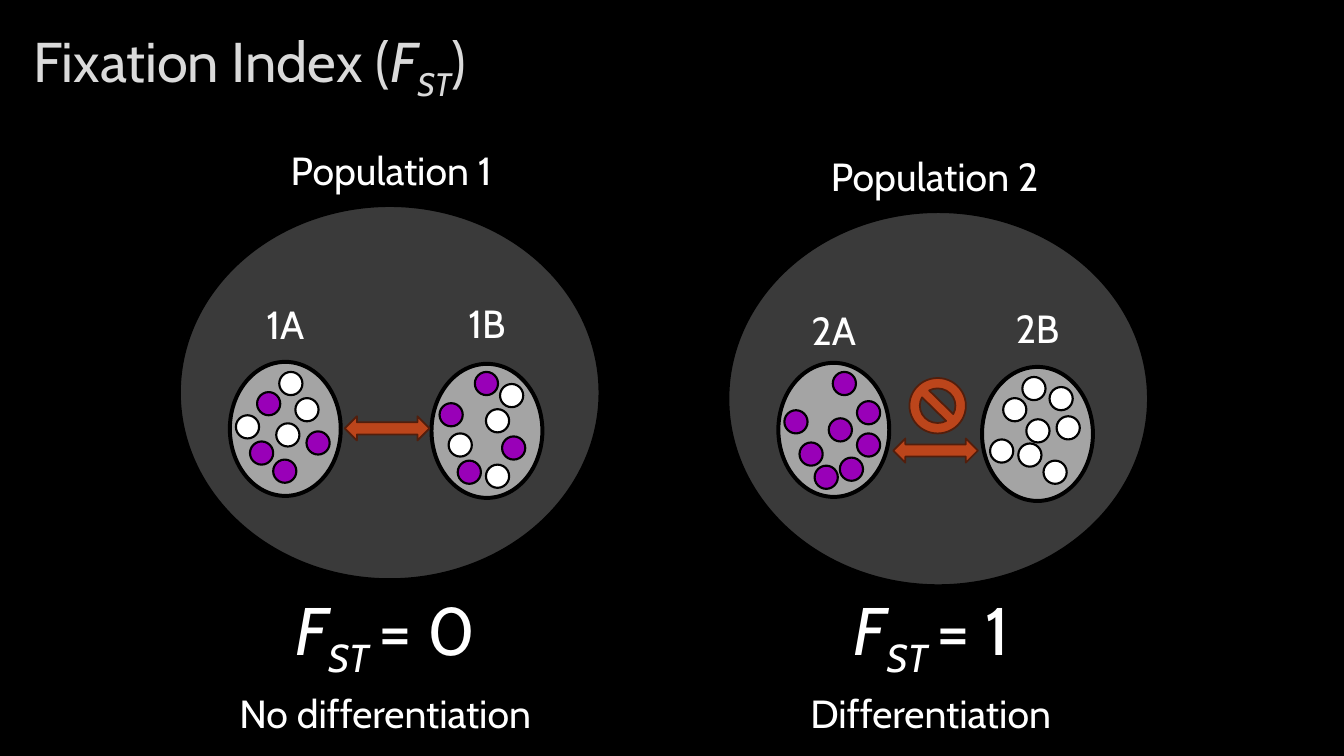
import pptx
import pptx.dml.color
import pptx.enum.shapes
import pptx.enum.text
import pptx.oxml.ns
import pptx.util
from lxml import etree

PX = 9144  # 100 px to the inch

RGB = pptx.dml.color.RGBColor
BLACK = RGB(0x00, 0x00, 0x00)
WHITE = RGB(0xFF, 0xFF, 0xFF)
SILVER = RGB(0xDA, 0xDA, 0xDA)
GRAY = RGB(0x6D, 0x6D, 0x6D)
PURPLE = RGB(0x99, 0x00, 0xB8)
RUST = RGB(0xBC, 0x45, 0x1B)
DARK_RUST = RGB(0x52, 0x1E, 0x0C)

SHAPE = pptx.enum.shapes.MSO_SHAPE
ALIGN = pptx.enum.text.PP_ALIGN
ANCHOR = pptx.enum.text.MSO_ANCHOR
ITALIC, SUBSCRIPT = "italic", "subscript"

# Each group: offset in the population, label offset above, and its alleles
POPULATIONS = [
    dict(
        box=(176, 202, 421, 375), name="Population 1", name_left=90,
        demes=[
            dict(name="1A", at=(52, 157), label_top=-66,
                 purple=[(20, 79), (76, 69), (27, 30), (43, 97)],
                 white=[(46, 61), (6, 53), (49, 10), (65, 36)]),
            dict(name="1B", at=(252, 159), label_top=-69,
                 purple=[(8, 39), (70, 72), (43, 8), (26, 96)],
                 white=[(17, 69), (54, 45), (68, 20), (54, 100)]),
        ],
        arrow_top=211, blocked=False,
        index="= 0", index_at=(37, 377),
        verdict="No differentiation", verdict_at=(18, 477)),
    dict(
        box=(720, 208, 421, 375), name="Population 2", name_left=85,
        demes=[
            dict(name="2A", at=(52, 152), label_top=-61,
                 purple=[(21, 79), (6, 47), (50, 55), (54, 9),
                         (78, 38), (36, 102), (78, 70), (61, 94)],
                 white=[]),
            dict(name="2B", at=(254, 156), label_top=-67,
                 purple=[],
                 white=[(40, 10), (8, 72), (44, 52), (21, 31),
                        (74, 49), (67, 20), (36, 76), (61, 93)]),
        ],
        arrow_top=227, blocked=True,
        index="= 1", index_at=(35, 371),
        verdict="Differentiation", verdict_at=(15, 471)),
]


def add_figure(shapes, kind, box, fill, line, width, opacity=None):
    figure = shapes.add_shape(kind, *(n * PX for n in box))
    figure.shadow.inherit = False
    figure.fill.solid()
    figure.fill.fore_color.rgb = fill
    figure.line.color.rgb = line
    figure.line.width = pptx.util.Pt(width)
    if opacity is not None:
        qn = pptx.oxml.ns.qn
        color = figure._element.spPr.find(qn("a:solidFill")).find(qn("a:srgbClr"))
        etree.SubElement(color, qn("a:alpha")).set("val", str(opacity * 1000))


def add_text(page, box, spans, size, color=WHITE, align=ALIGN.CENTER,
             anchor=ANCHOR.TOP):
    frame = page.shapes.add_textbox(*(n * PX for n in box)).text_frame
    frame.word_wrap = True
    frame.vertical_anchor = anchor
    para = frame.paragraphs[0]
    para.alignment = align
    para.font.name = "Cabin"
    para.font.size = pptx.util.Pt(size)
    para.font.color.rgb = color
    for text, *styles in spans:
        span = para.add_run()
        span.text = text
        if ITALIC in styles:
            span.font.italic = True
        if SUBSCRIPT in styles:
            span._r.get_or_add_rPr().set("baseline", "-25000")


def add_title(page, box):
    spans = [("Fixation Index (",), ("F", ITALIC), ("ST", ITALIC, SUBSCRIPT), (")",)]
    add_text(page, box, spans, 40, SILVER, ALIGN.LEFT, ANCHOR.MIDDLE)


def add_deme(page, box, deme):
    left, top, width, height = box
    group = page.shapes.add_group_shape()
    add_figure(group.shapes, SHAPE.OVAL, box, WHITE, BLACK, 2.83, opacity=54)
    for color, places in ((PURPLE, deme["purple"]), (WHITE, deme["white"])):
        for x, y in places:
            add_figure(group.shapes, SHAPE.OVAL, (left + x, top + y, 23, 23),
                       color, BLACK, 1.52)
    add_text(page, (left - 67, top + deme["label_top"], 244, 57),
             [(deme["name"],)], 28)


def add_population(page, box, population):
    left, top, width, height = box

    # Whole population
    add_figure(page.shapes, SHAPE.OVAL, box, GRAY, BLACK, 4.82, opacity=54)
    add_text(page, (left + population["name_left"], top - 62, 244, 57),
             [(population["name"],)], 28)

    # Subpopulations
    for deme in population["demes"]:
        x, y = deme["at"]
        add_deme(page, (left + x, top + y, 110, 133), deme)

    # Gene flow
    add_figure(page.shapes, SHAPE.LEFT_RIGHT_ARROW,
               (left + 166, top + population["arrow_top"], 84, 24),
               RUST, DARK_RUST, 1.25)
    if population["blocked"]:
        add_figure(page.shapes, SHAPE.NO_SYMBOL, (left + 182, top + 167, 56, 55),
                   RUST, DARK_RUST, 1.25)

    # Index value and verdict
    x, y = population["index_at"]
    add_text(page, (left + x, top + y, 338, 91),
             [("F", ITALIC), ("ST ", ITALIC, SUBSCRIPT), (population["index"],)], 48)
    x, y = population["verdict_at"]
    add_text(page, (left + x, top + y, 376, 57), [(population["verdict"],)], 28)


def main():
    deck = pptx.Presentation()
    deck.slide_width, deck.slide_height = 1333 * PX, 750 * PX
    page = deck.slides.add_slide(deck.slide_layouts[6])
    page.background.fill.solid()
    page.background.fill.fore_color.rgb = BLACK
    add_title(page, (23, 11, 1132, 106))
    for population in POPULATIONS:
        add_population(page, population["box"], population)
    deck.save("out.pptx")


if __name__ == "__main__":
    main()
